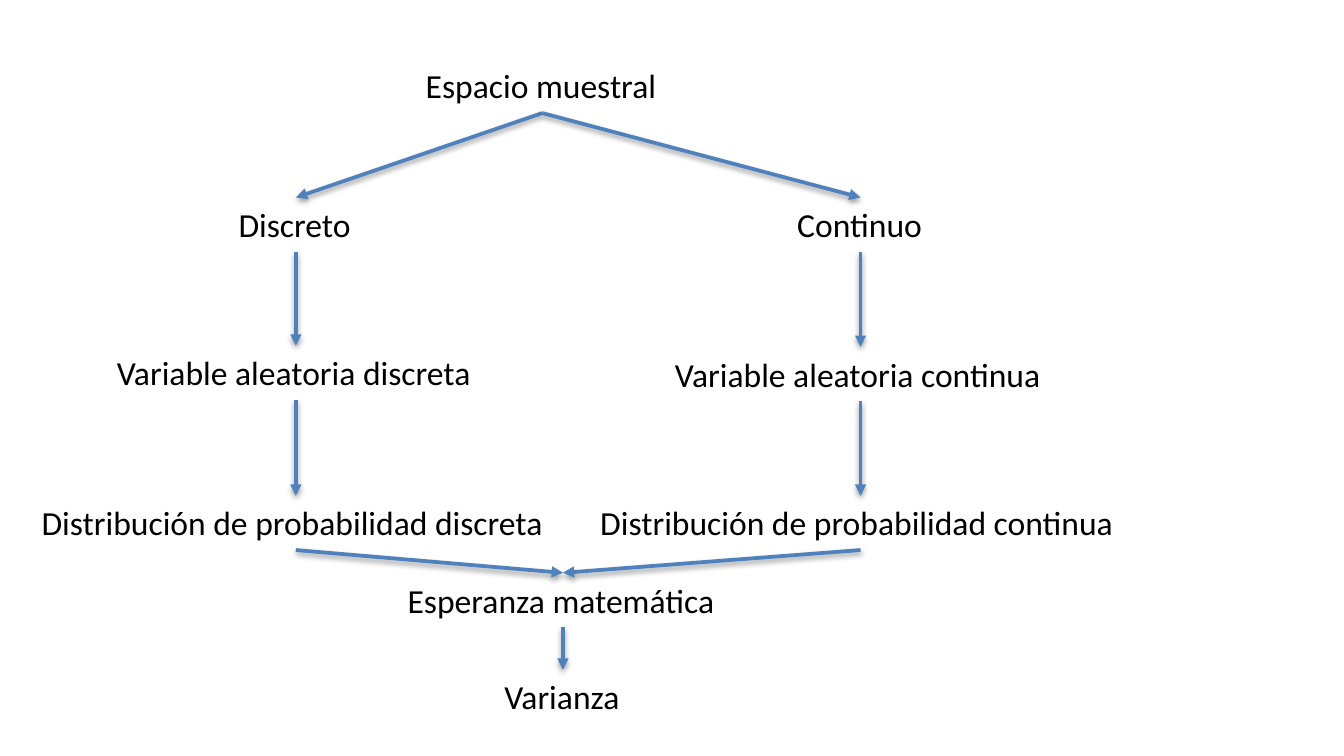
from lxml.etree import SubElement
from pptx import Presentation
from pptx.dml.color import RGBColor
from pptx.enum.shapes import MSO_CONNECTOR
from pptx.enum.text import MSO_AUTO_SIZE
from pptx.oxml.ns import qn
from pptx.util import Pt

BLACK = RGBColor(0, 0, 0)
BLUE = RGBColor(0x4F, 0x81, 0xBD)
HEIGHT = 29.1
LEFT, RIGHT = 158.5, 461
TOP, BASE = 290.5, 301.6

NODES = {
    "space": ("Espacio muestral", TOP, 31.5, 139),
    "disc": ("Discreto", LEFT, 105.8, 75.6),
    "cont": ("Continuo", RIGHT, 105.8, 82),
    "var_d": ("Variable aleatoria discreta", LEFT, 185.2, 206),
    "var_c": ("Variable aleatoria continua", RIGHT, 185.8, 213),
    "dist_d": ("Distribución de probabilidad discreta", LEFT, 265.6, 286.6),
    "dist_c": ("Distribución de probabilidad continua", RIGHT, 265.6, 293),
    "mean": ("Esperanza matemática", BASE, 306.9, 180.7),
    "spread": ("Varianza", BASE, 358.8, 77),
}

LINKS = [
    ("space", "disc"), ("space", "cont"),
    ("disc", "var_d"), ("cont", "var_c"),
    ("var_d", "dist_d"), ("var_c", "dist_c"),
    ("dist_d", "mean"), ("dist_c", "mean"),
    ("mean", "spread"),
]


def write(frame, text, font="Calibri", size=18, color=BLACK):
    run = frame.paragraphs[0].add_run()
    run.text = text
    run.font.name = font
    run.font.size = Pt(size)
    run.font.color.rgb = color


def add_node(slide, text, mid, top, width):
    box = slide.shapes.add_textbox(
        Pt(mid - width / 2), Pt(top), Pt(width), Pt(HEIGHT))
    frame = box.text_frame
    frame.word_wrap = False
    frame.auto_size = MSO_AUTO_SIZE.SHAPE_TO_FIT_TEXT
    write(frame, text)
    return box


def add_shadow(props):
    effects = SubElement(props, qn("a:effectLst"))
    shadow = SubElement(
        effects, qn("a:outerShdw"), blurRad=str(Pt(3.1)), dist=str(Pt(1.6)),
        dir="5400000", rotWithShape="0")
    color = SubElement(shadow, qn("a:srgbClr"), val=str(BLACK))
    SubElement(color, qn("a:alpha"), val="38000")


def add_arrow(slide, start, end):
    arrow = slide.shapes.add_connector(MSO_CONNECTOR.STRAIGHT, 0, 0, 0, 0)
    arrow.begin_connect(start, 2)
    arrow.end_connect(end, 0)
    arrow.line.color.rgb = BLUE
    arrow.line.width = Pt(2)
    props = arrow.element.spPr
    SubElement(props.find(qn("a:ln")), qn("a:tailEnd"), type="triangle")
    add_shadow(props)


def main():
    deck = Presentation()
    deck.slide_width, deck.slide_height = Pt(720), Pt(405)
    slide = deck.slides.add_slide(deck.slide_layouts[6])
    boxes = {key: add_node(slide, *node) for key, node in NODES.items()}
    for start, end in LINKS:
        add_arrow(slide, boxes[start], boxes[end])
    deck.save("out.pptx")


if __name__ == "__main__":
    main()
